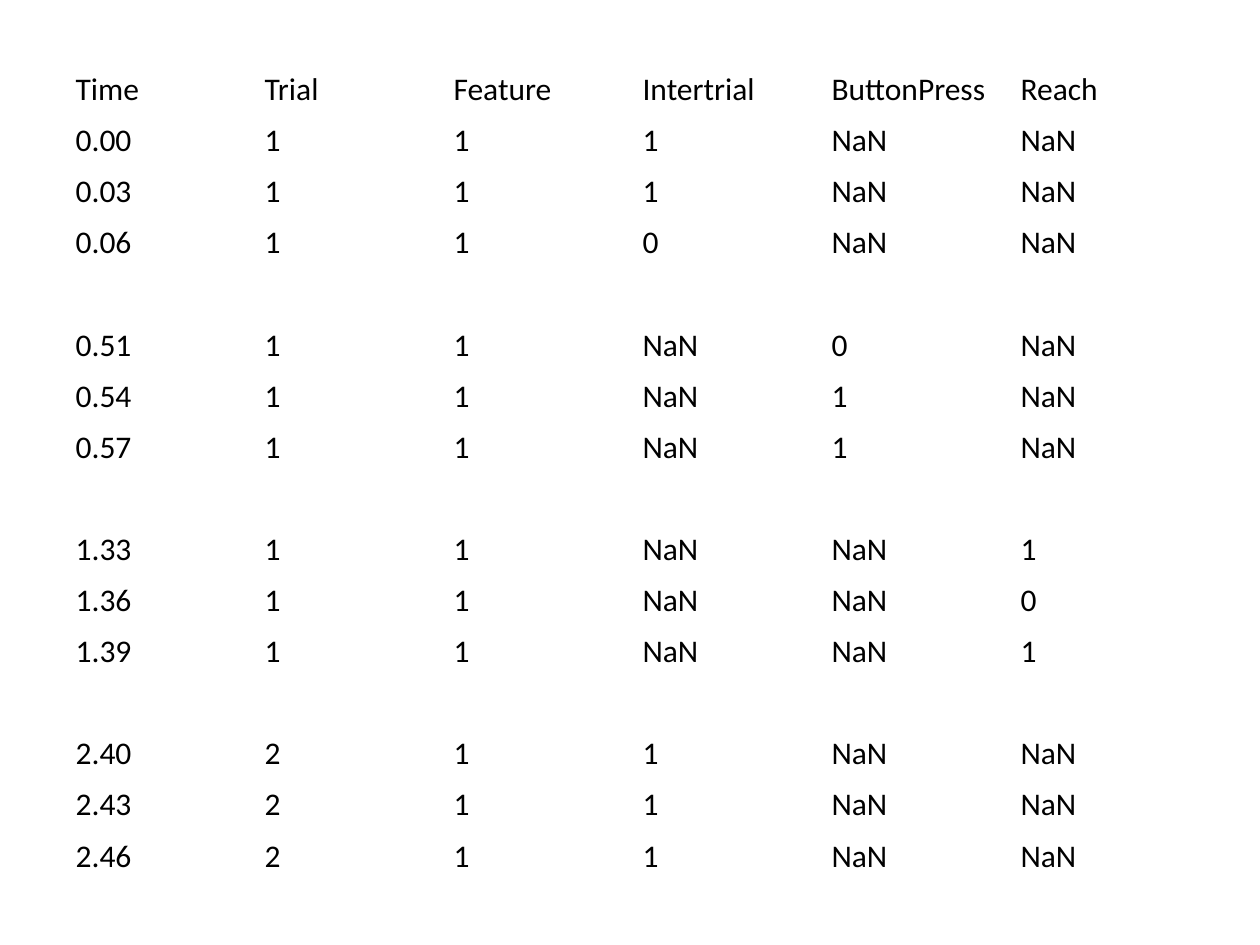
from dataclasses import dataclass

from pptx import Presentation
from pptx.dml.color import RGBColor
from pptx.enum import text
from pptx.util import Inches, Pt


@dataclass(frozen=True)
class Theme:
    font: str = "Calibri"
    size: Pt = Pt(18)
    ink: RGBColor = RGBColor(0, 0, 0)


THEME = Theme()

HEADER = ("Time", "Trial", "Feature", "Intertrial", "ButtonPress", "Reach")
BLOCKS = (
    (("0.00", "1", "1", "1", "NaN", "NaN"),
     ("0.03", "1", "1", "1", "NaN", "NaN"),
     ("0.06", "1", "1", "0", "NaN", "NaN")),
    (("0.51", "1", "1", "NaN", "0", "NaN"),
     ("0.54", "1", "1", "NaN", "1", "NaN"),
     ("0.57", "1", "1", "NaN", "1", "NaN")),
    (("1.33", "1", "1", "NaN", "NaN", "1"),
     ("1.36", "1", "1", "NaN", "NaN", "0"),
     ("1.39", "1", "1", "NaN", "NaN", "1")),
    (("2.40", "2", "1", "1", "NaN", "NaN"),
     ("2.43", "2", "1", "1", "NaN", "NaN"),
     ("2.46", "2", "1", "1", "NaN", "NaN")),
)


def table_rows():
    """Header and data blocks, with an empty row between blocks."""
    rows = [HEADER]
    for i, block in enumerate(BLOCKS):
        if i:
            rows.append(("",) * len(HEADER))
        rows.extend(block)
    return rows


def style_cell(cell, value):
    cell.fill.background()
    cell.vertical_anchor = text.MSO_ANCHOR.MIDDLE
    p = cell.text_frame.paragraphs[0]
    p.text = value
    p.font.name = THEME.font
    p.font.size = THEME.size
    p.font.color.rgb = THEME.ink


def add_trial_table(s, left, top, width, height):
    rows = table_rows()
    table = s.shapes.add_table(len(rows), len(HEADER), left, top, width, height).table
    table.first_row = False
    table.horz_banding = False
    for r, values in enumerate(rows):
        for c, value in enumerate(values):
            style_cell(table.cell(r, c), value)


def main():
    prs = Presentation()
    prs.slide_width, prs.slide_height = Inches(10), Inches(7.5)
    s = prs.slides.add_slide(prs.slide_layouts[6])
    add_trial_table(s, Inches(0.5), Inches(0.51), Inches(9), Inches(6.49))
    prs.save("out.pptx")


if __name__ == "__main__":
    main()
